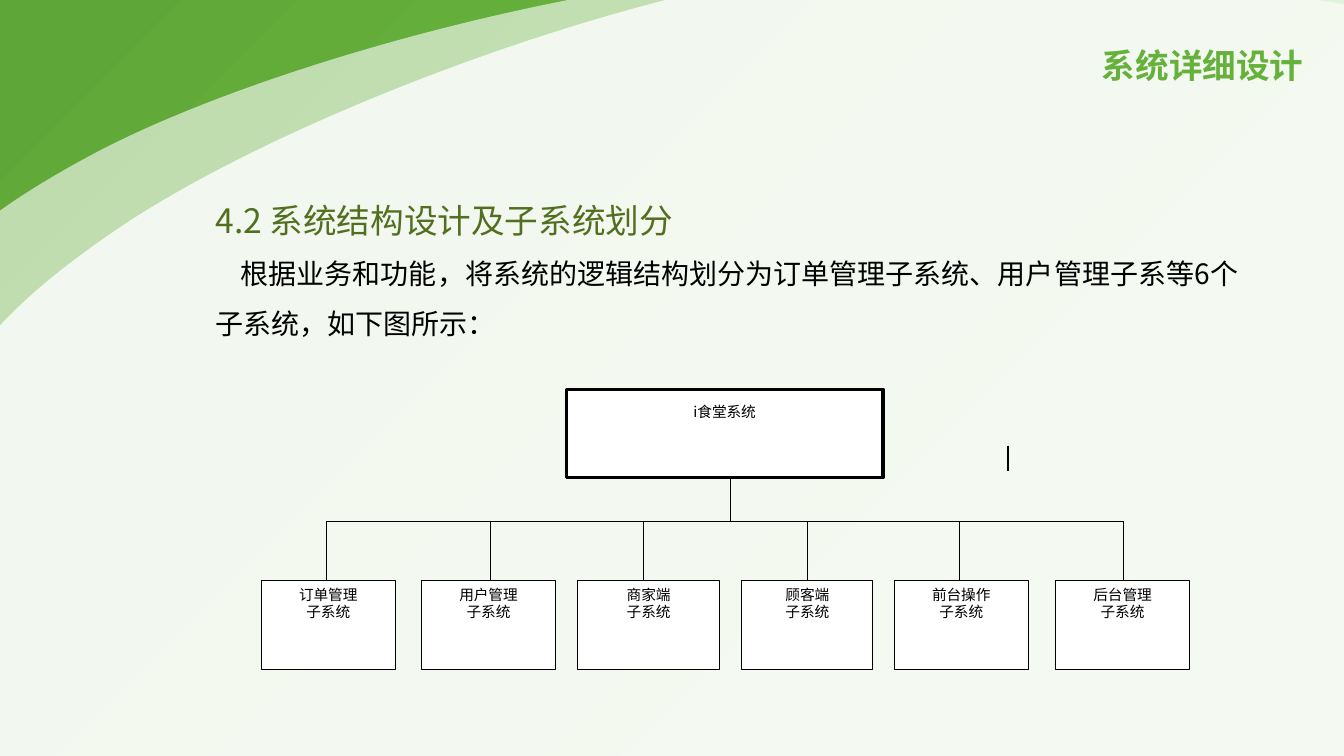
import dataclasses

import pptx
import pptx.dml.color
import pptx.enum.shapes
import pptx.enum.text
import pptx.oxml
import pptx.oxml.ns
import pptx.util

SLIDE_WIDTH = pptx.util.Inches(40 / 3)
SLIDE_HEIGHT = pptx.util.Inches(7.5)
CELL = SLIDE_WIDTH / 80

SWOOSH_LEFT, SWOOSH_TOP = -11.58, -2.04
SWOOSH_COLUMNS, SWOOSH_ROWS = 122.64, 59.58
SWOOSH_KNOTS = [
    (-8.1, 23.34),
    (-6.12, 17.82), (-3.66, 14.04), (5.76, 9.06),
    (15.12, 4.14), (33.84, -1.2), (48.78, -1.92),
    (63.78, -2.64), (86.16, -0.06), (95.52, 4.92),
    (104.94, 9.84), (115.62, 24.96), (109.08, 32.76),
    (102.48, 40.62), (67.98, 55.86), (48.78, 57.42),
    (29.58, 58.98), (3.12, 47.1), (-6.24, 42.12),
    (-15.66, 37.2), (-10.08, 28.86), (-8.1, 23.34),
]
SUBSYSTEMS = [
    ("订单管理", 15.54, 8, 19.44),
    ("用户管理", 25.08, 8, 29.18),
    ("商家端", 34.38, 8.46, 38.28),
    ("顾客端", 44.16, 7.8, 48.06),
    ("前台操作", 53.22, 8, 57.12),
    ("后台管理", 62.82, 8, 66.9),
]
BUS_ROW = 31.02
SUBSYSTEM_ROW = 34.56
BOX_ROWS = 5.28


@dataclasses.dataclass(frozen=True)
class Theme:
    """Colours, font and type sizes of the slide."""
    font: str = "Noto Sans CJK SC"
    green: str = "66B13C"
    olive: str = "526E1F"
    black: str = "000000"
    white: str = "FFFFFF"
    backdrop: tuple = ((0, "7DC555"), (23, "7DC555"), (69, "66B13C"), (97, "5FA638"))
    heading: float = 24
    body: float = 20
    label: float = 10.5
    thin: float = 0.75
    thick: float = 2.25


THEME = Theme()


def rgb(code):
    """Turn a hex code into a colour."""
    return pptx.dml.color.RGBColor.from_string(code)


def cells(*counts):
    """Turn grid counts into lengths."""
    return [pptx.util.Emu(round(count * CELL)) for count in counts]


def format_paragraph(paragraph, size, color, bold=False):
    """Set the type of every run in a paragraph."""
    for run in paragraph.runs:
        run.font.size = pptx.util.Pt(size)
        run.font.bold = bold
        run.font.color.rgb = rgb(color)
        run.font.name = THEME.font
        east_asian = run.font._element.makeelement(
            pptx.oxml.ns.qn("a:ea"), {"typeface": THEME.font})
        run.font._element.append(east_asian)


def add_backdrop(slide):
    """Cover the slide with a radial green gradient."""
    backdrop = slide.shapes.add_shape(
        pptx.enum.shapes.MSO_SHAPE.RECTANGLE, 0, 0, SLIDE_WIDTH, SLIDE_HEIGHT)
    backdrop.shadow.inherit = False
    backdrop.line.fill.background()
    backdrop.fill.gradient()
    stops = "".join(
        f'<a:gs pos="{share * 1000}"><a:srgbClr val="{color}"/></a:gs>'
        for share, color in THEME.backdrop)
    gradient = pptx.oxml.parse_xml(
        f'<a:gradFill {pptx.oxml.ns.nsdecls("a")} rotWithShape="1"><a:gsLst>{stops}</a:gsLst>'
        '<a:path path="circle"><a:fillToRect l="100000" t="100000"/></a:path></a:gradFill>')
    properties = backdrop._element.spPr
    properties.replace(properties.find(pptx.oxml.ns.qn("a:gradFill")), gradient)


def curved_outline():
    """Describe the swoosh as joined cubic curves within its frame."""
    points = []
    for column, row in SWOOSH_KNOTS:
        x, y = cells(column - SWOOSH_LEFT, row - SWOOSH_TOP)
        points.append(f'<a:pt x="{x}" y="{y}"/>')
    curves = "".join(
        f'<a:cubicBezTo>{"".join(points[first:first + 3])}</a:cubicBezTo>'
        for first in range(1, len(points), 3))
    width, height = cells(SWOOSH_COLUMNS, SWOOSH_ROWS)
    return pptx.oxml.parse_xml(
        f'<a:path {pptx.oxml.ns.nsdecls("a")} w="{width}" h="{height}">'
        f'<a:moveTo>{points[0]}</a:moveTo>{curves}<a:close/></a:path>')


def add_swoosh(slide, opacity, shift=(0, 0), rotation=0):
    """Lay a translucent white curved sheet over the backdrop."""
    corners = [cells(*knot) for knot in SWOOSH_KNOTS[::3]]
    builder = slide.shapes.build_freeform(*corners[0])
    builder.add_line_segments(corners[1:], close=True)
    sheet = builder.convert_to_shape()
    outline = sheet._element.spPr.find(".//" + pptx.oxml.ns.qn("a:path"))
    outline.getparent().replace(outline, curved_outline())
    sheet.left, sheet.top, sheet.width, sheet.height = cells(
        SWOOSH_LEFT + shift[0], SWOOSH_TOP + shift[1], SWOOSH_COLUMNS, SWOOSH_ROWS)
    sheet.rotation = rotation
    sheet.shadow.inherit = False
    sheet.line.fill.background()
    sheet.fill.solid()
    sheet.fill.fore_color.rgb = rgb(THEME.white)
    color = sheet._element.spPr.find(".//" + pptx.oxml.ns.qn("a:srgbClr"))
    color.append(color.makeelement(pptx.oxml.ns.qn("a:alpha"), {"val": str(opacity * 1000)}))


def add_title(slide, text):
    """Add the right-aligned section title."""
    frame = slide.shapes.add_textbox(*cells(43.38, 1.68, 34.8, 4.74)).text_frame
    frame.word_wrap = True
    frame.vertical_anchor = pptx.enum.text.MSO_ANCHOR.MIDDLE
    frame.text = text
    title = frame.paragraphs[0]
    title.alignment = pptx.enum.text.PP_ALIGN.RIGHT
    title.line_spacing = 0.9
    format_paragraph(title, THEME.heading, THEME.green, bold=True)


def add_introduction(slide, heading, description):
    """Add the heading and its indented description."""
    frame = slide.shapes.add_textbox(*cells(12.24, 10.38, 62.16, 9.96)).text_frame
    frame.word_wrap = True
    frame.auto_size = pptx.enum.text.MSO_AUTO_SIZE.SHAPE_TO_FIT_TEXT
    frame.text = f"{heading}\n{description}"
    for paragraph in frame.paragraphs:
        paragraph.line_spacing = 1.5
    format_paragraph(frame.paragraphs[0], THEME.heading, THEME.olive)
    format_paragraph(frame.paragraphs[1], THEME.body, THEME.black)
    frame.paragraphs[1]._p.get_or_add_pPr().set("indent", str(cells(1.5)[0]))


def add_box(slide, text, left, top, width, line_width, inset=0.3):
    """Add a white outlined box with centred text at its top."""
    box = slide.shapes.add_shape(
        pptx.enum.shapes.MSO_SHAPE.RECTANGLE, *cells(left, top, width, BOX_ROWS))
    box.shadow.inherit = False
    box.fill.solid()
    box.fill.fore_color.rgb = rgb(THEME.white)
    box.line.color.rgb = rgb(THEME.black)
    box.line.width = pptx.util.Pt(line_width)
    frame = box.text_frame
    frame.word_wrap = True
    frame.vertical_anchor = pptx.enum.text.MSO_ANCHOR.TOP
    frame.margin_top = cells(inset)[0]
    frame.text = text
    for paragraph in frame.paragraphs:
        paragraph.alignment = pptx.enum.text.PP_ALIGN.CENTER
        format_paragraph(paragraph, THEME.label, THEME.black)


def add_line(slide, *ends):
    """Add a thin black line between two grid points."""
    line = slide.shapes.add_connector(pptx.enum.shapes.MSO_CONNECTOR.STRAIGHT, *cells(*ends))
    line.line.color.rgb = rgb(THEME.black)
    line.line.width = pptx.util.Pt(THEME.thin)
    properties = line._element.spPr
    properties.append(properties.makeelement(pptx.oxml.ns.qn("a:effectLst"), {}))


def main():
    """Build and save the slide."""
    deck = pptx.Presentation()
    deck.slide_width, deck.slide_height = SLIDE_WIDTH, SLIDE_HEIGHT
    slide = deck.slides.add_slide(deck.slide_layouts[6])
    add_backdrop(slide)
    add_swoosh(slide, 60)
    add_swoosh(slide, 80, shift=(3.3, -0.3), rotation=354.1)
    add_title(slide, "系统详细设计")
    add_introduction(
        slide, "4.2 系统结构设计及子系统划分",
        "根据业务和功能，将系统的逻辑结构划分为订单管理子系统、用户管理子系等6个子系统，如下图所示：")
    add_line(slide, 60, 26.52, 60, 28.02)
    add_box(slide, "i食堂系统", 33.72, 23.16, 18.84, THEME.thick, inset=0.84)
    add_line(slide, 43.5, 28.4, 43.5, BUS_ROW)
    add_line(slide, SUBSYSTEMS[0][-1], BUS_ROW, SUBSYSTEMS[-1][-1], BUS_ROW)
    for name, left, width, branch in SUBSYSTEMS:
        add_box(slide, f"{name}\n子系统", left, SUBSYSTEM_ROW, width, THEME.thin)
        add_line(slide, branch, BUS_ROW, branch, SUBSYSTEM_ROW)
    deck.save("out.pptx")


if __name__ == "__main__":
    main()
